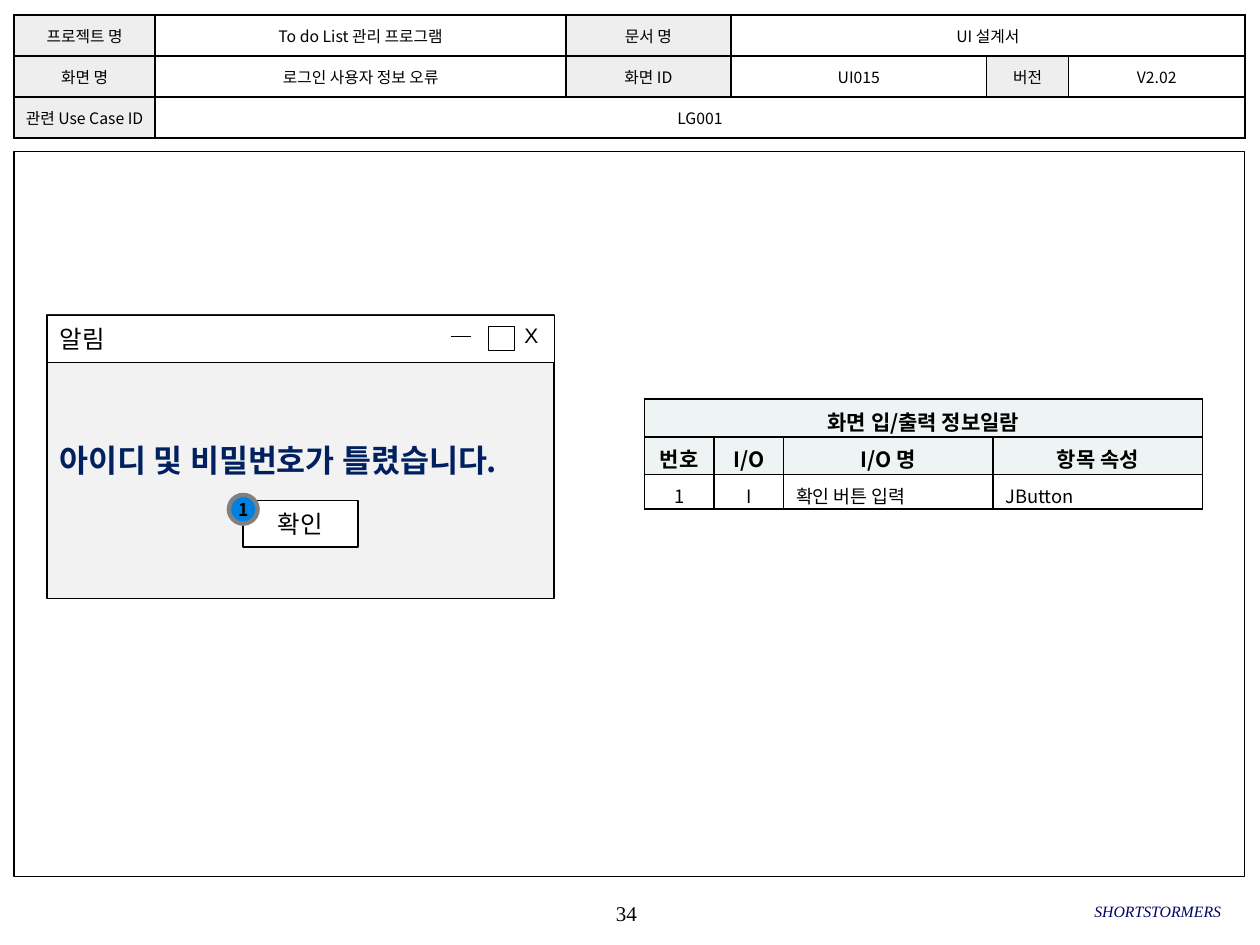
from lxml.etree import SubElement
from pptx import Presentation
from pptx.dml.color import RGBColor
from pptx.enum.shapes import MSO_CONNECTOR, MSO_SHAPE
from pptx.enum.text import MSO_ANCHOR, PP_ALIGN
from pptx.oxml.ns import qn
from pptx.util import Pt

COLORS = {
    "black": "000000", "white": "FFFFFF", "label": "EEEEEE", "header": "EEF4F4",
    "window": "F2F2F2", "message": "002060", "team": "000066",
    "marker": "0081E2", "ring": "808080",
}
KOREAN, SERIF, SANS = "Noto Sans CJK KR", "Times New Roman", "Arial"
LEFT, CENTER, RIGHT = PP_ALIGN.LEFT, PP_ALIGN.CENTER, PP_ALIGN.RIGHT


def rgb(name):
    return RGBColor.from_string(COLORS[name])


def write(frame, text, size, font=KOREAN, color="black", align=LEFT,
          bold=False, italic=False):
    paragraph = frame.paragraphs[0]
    paragraph.alignment = align
    run = paragraph.add_run()
    run.text = text
    run.font.size = Pt(size)
    run.font.name = font
    run.font.bold = bold
    run.font.italic = italic
    run.font.color.rgb = rgb(color)
    SubElement(run.font._element, qn("a:ea")).set("typeface", font)


def add_label(shapes, box, text, size, **style):
    """Unpadded text box, centred vertically."""
    frame = shapes.add_textbox(*map(Pt, box)).text_frame
    frame.margin_left = frame.margin_right = 0
    frame.margin_top = frame.margin_bottom = 0
    frame.word_wrap = False
    frame.vertical_anchor = MSO_ANCHOR.MIDDLE
    write(frame, text, size, **style)


def add_box(shapes, box, fill, line, width, kind=MSO_SHAPE.RECTANGLE):
    shape = shapes.add_shape(kind, *map(Pt, box))
    shape.shadow.inherit = False
    if fill:
        shape.fill.solid()
        shape.fill.fore_color.rgb = rgb(fill)
    else:
        shape.fill.background()
    shape.line.color.rgb = rgb(line)
    shape.line.width = Pt(width)
    shape.text_frame.word_wrap = False
    shape.text_frame.vertical_anchor = MSO_ANCHOR.MIDDLE
    return shape


def add_line(shapes, start, end, width):
    line = shapes.add_connector(MSO_CONNECTOR.STRAIGHT, *map(Pt, start + end))
    line.line.color.rgb = rgb("black")
    line.line.width = Pt(width)
    SubElement(line._element.spPr, qn("a:effectLst"))


def set_borders(cell):
    properties = cell._tc.get_or_add_tcPr()
    for position, side in enumerate(("lnL", "lnR", "lnT", "lnB")):
        border = SubElement(properties, qn(f"a:{side}"), w=str(Pt(1)))
        fill = SubElement(border, qn("a:solidFill"))
        SubElement(fill, qn("a:srgbClr"), val=COLORS["black"])
        properties.insert(position, border)


def add_grid(slide, left, top, widths, heights, margins):
    """Bordered table without a style's banding; margins: left/right, top, bottom."""
    table = slide.shapes.add_table(
        len(heights), len(widths), Pt(left), Pt(top),
        Pt(sum(widths)), Pt(sum(heights))).table
    table.first_row = table.horz_banding = False
    for column, width in zip(table.columns, widths):
        column.width = Pt(width)
    for row, height in zip(table.rows, heights):
        row.height = Pt(height)
    side, above, below = map(Pt, margins)
    for cell in table.iter_cells():
        cell.margin_left = cell.margin_right = side
        cell.margin_top, cell.margin_bottom = above, below
        cell.vertical_anchor = MSO_ANCHOR.MIDDLE
        cell.fill.background()
        set_borders(cell)
    return table


def fill_cell(cell, color):
    cell.fill.solid()
    cell.fill.fore_color.rgb = rgb(color)


def add_document_header(slide):
    rows = [
        ["프로젝트 명", "To do List 관리 프로그램", "문서 명", "UI 설계서"],
        ["화면 명", "로그인 사용자 정보 오류", "화면 ID", "UI015", "버전", "V2.02"],
        ["관련 Use Case ID", "LG001"],
    ]
    widths = [80.6, 234.8, 94.3, 146.2, 46.8, 100.7]
    table = add_grid(slide, 8, 8.6, widths, [23.4] * 3, (2.9, 1.4, 1.4))
    for row, texts in enumerate(rows):
        last = len(texts) - 1
        if last < 5:
            table.cell(row, last).merge(table.cell(row, 5))
        for column, text in enumerate(texts):
            cell = table.cell(row, column)
            write(cell.text_frame, text, 9, align=CENTER)
            if column % 2 == 0:
                fill_cell(cell, "label")


def add_field_list(slide):
    rows = [
        ["화면 입/출력 정보일람"],
        ["번호", "I/O", "I/O 명", "항목 속성"],
        ["1", "I", "확인 버튼 입력", "JButton"],
    ]
    table = add_grid(slide, 368.2, 228, [39.8, 39.8, 119.7, 119.7],
                     [21.6, 21.6, 19.8], (7.2, 3.6, 0))
    table.cell(0, 0).merge(table.cell(0, 3))
    for row, texts in enumerate(rows):
        heading = row < 2
        for column, text in enumerate(texts):
            cell = table.cell(row, column)
            fill_cell(cell, "header" if heading else "white")
            write(cell.text_frame, text, 12 if heading else 10.5, bold=heading,
                  align=CENTER if heading or column < 2 else LEFT)


def add_alert_window(slide):
    shapes = slide.shapes.add_group_shape().shapes
    left, top, width = 27, 180, 289.7
    add_box(shapes, (left, top, width, 162), "window", "black", 1)
    title = add_box(shapes, (left, top, width, 27.2), "white", "black", 0.25)
    write(title.text_frame, "알림", 14)

    # Window controls
    add_label(shapes, (299, 181, 9.4, 21.6), "X", 12, font=SANS, align=CENTER)
    add_box(shapes, (279, 186.4, 15, 13.8), "white", "black", 0.25)
    add_line(shapes, (269.4, 192.4), (257.8, 192.4), 0.25)

    # Confirm button
    button = add_box(shapes, (139, 286, 65.5, 26.6), "white", "black", 1)
    write(button.text_frame, "확인", 14, align=CENTER)


def main():
    presentation = Presentation()
    presentation.slide_width, presentation.slide_height = Pt(720), Pt(540)
    slide = presentation.slides.add_slide(presentation.slide_layouts[6])
    shapes = slide.shapes

    # Page frame and footer
    add_box(shapes, (8, 86.6, 703.4, 414.3), None, "black", 0.75)
    add_label(shapes, (283, 510, 149.8, 23.8), "34", 12, font=SERIF, align=CENTER)
    add_label(shapes, (477.4, 509, 220.3, 23.8), "SHORTSTORMERS", 9, font=SERIF,
              color="team", align=RIGHT, italic=True)

    add_document_header(slide)
    add_alert_window(slide)

    # Numbered marker on the button
    marker = add_box(shapes, (130.8, 282.8, 16.4, 16.4), "marker", "ring", 2.5,
                     MSO_SHAPE.OVAL)
    write(marker.text_frame, "1", 10, align=CENTER, bold=True)

    add_field_list(slide)

    # Alert message
    add_label(shapes, (34.2, 248.4, 278.6, 28.8), "아이디 및 비밀번호가 틀렸습니다.",
              18, color="message", bold=True)

    presentation.save("out.pptx")


if __name__ == "__main__":
    main()
